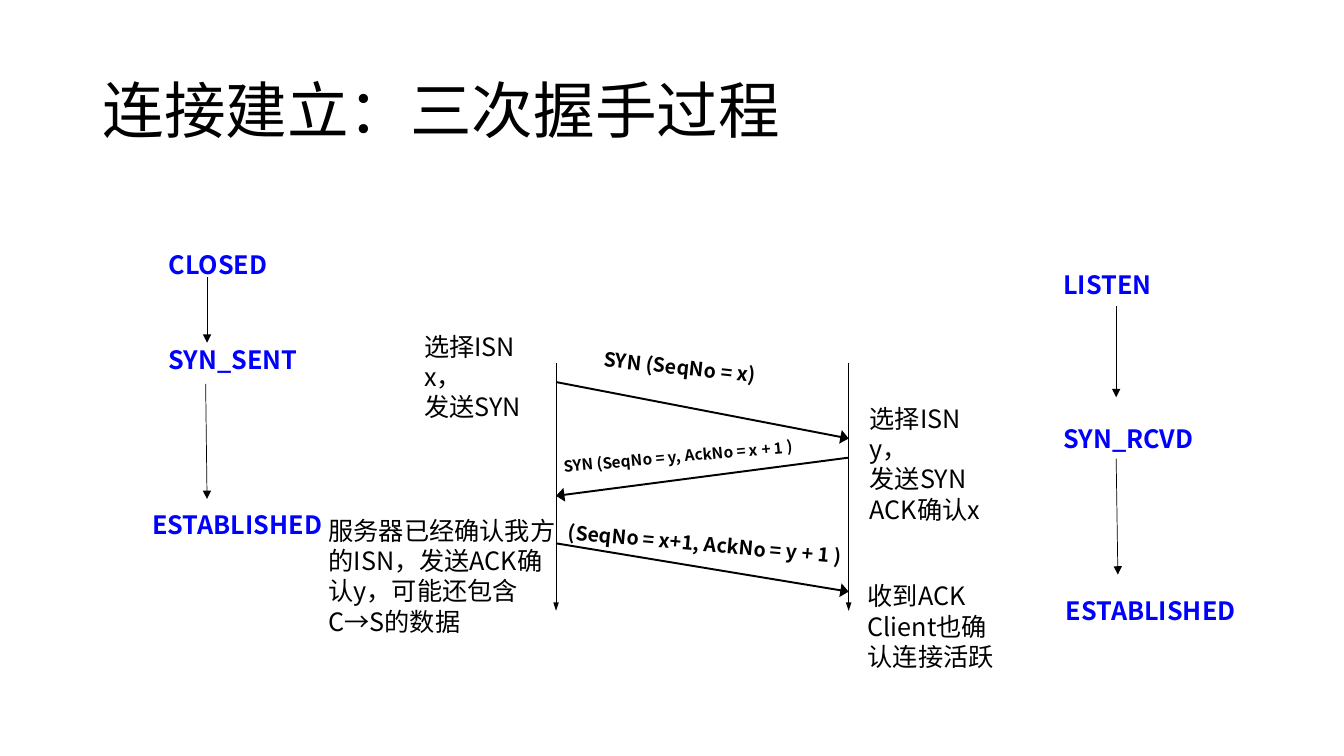
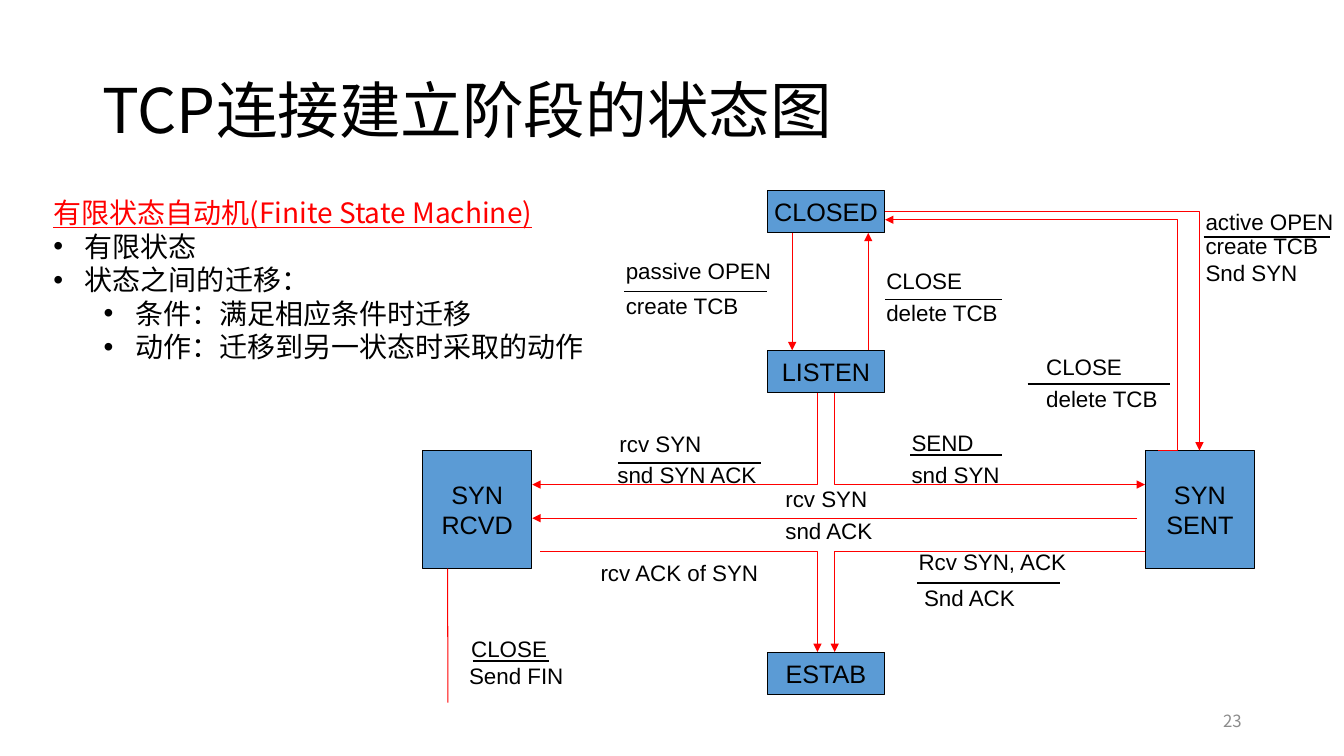
from lxml.etree import SubElement
from pptx import Presentation
from pptx.dml.color import RGBColor
from pptx.enum.shapes import MSO_CONNECTOR, MSO_SHAPE
from pptx.enum.text import MSO_ANCHOR, PP_ALIGN
from pptx.oxml.ns import qn
from pptx.util import Pt

CJK, LATIN = "Noto Sans CJK SC", "Arial"
BLACK, BLUE, RED, GREY, FILL = "000000", "0000FF", "FF0000", "8C8C8C", "5B9BD5"
SLIDE_WIDTH, SLIDE_HEIGHT = 960, 540
LABEL_WIDTH = 135

HOST_STATES = [
    ("CLOSED", 113.4, 174.6),
    ("SYN_SENT", 113.4, 242.3),
    ("ESTABLISHED", 101.7, 360.4),
    ("LISTEN", 752.4, 188.6),
    ("SYN_RCVD", 752.4, 298.8),
    ("ESTABLISHED", 754.2, 421.9),
]
STATE_ARROWS = [
    [(147.9, 198), (147.9, 244.8)],
    [(146.9, 274.3), (147.9, 356.4)],
    [(797.3, 218.9), (797.3, 283.7)],
    [(797.3, 327.6), (798.5, 410.4)],
]
CLIENT_X, SERVER_X = 397.2, 606.2
LIFELINE_TOP, LIFELINE_BOTTOM = 259.2, 436.3
MESSAGES = [
    (CLIENT_X, 272.9, SERVER_X, 313.2),
    (SERVER_X, 326.9, CLIENT_X, 354.2),
    (CLIENT_X, 388.1, SERVER_X, 422.6),
]
MESSAGE_LABELS = [
    ("SYN (SeqNo = x)", 14, 6, (430.6, 254, 115.2, 24.5)),
    ("SYN (SeqNo = y, AckNo = x + 1 )", 11, 355, (402.5, 318.2, 190.8, 19.4)),
    ("(SeqNo = x+1, AckNo = y + 1 )", 14, 5, (405.4, 381.6, 227.5, 24.5)),
]
NOTES = [
    (["选择ISN x，", "发送SYN"], (295.9, 233.1, 103.7, 51.1)),
    (["选择ISN y，", "发送SYN ACK确认x"], (614.2, 284.4, 103.7, 72.7)),
    (["服务器已经确认我方的ISN，发送ACK确认y，可能还包含C→S的数据"], (227.5, 364.5, 179.3, 94.3)),
    (["收到ACK", "Client也确认连接活跃"], (612.7, 411.3, 110.9, 72.7)),
]

MACHINE_TITLE = "有限状态自动机(Finite State Machine)"
MACHINE_POINTS = [
    ("有限状态", 0),
    ("状态之间的迁移：", 0),
    ("条件：满足相应条件时迁移", 1),
    ("动作：迁移到另一状态时采取的动作", 1),
]
FLAT, SQUARE = (84.2, 30.2), (78, 84.2)
MACHINE_STATES = [
    (["CLOSED"], (547.9, 136.1), FLAT),
    (["LISTEN"], (547.9, 250.2), FLAT),
    (["ESTAB"], (547.9, 465.8), FLAT),
    (["SYN", "RCVD"], (301.9, 321.8), SQUARE),
    (["SYN", "SENT"], (818.1, 321.8), SQUARE),
]
STRAIGHT_TRANSITIONS = [
    [(565.9, 166.3), (565.9, 250.2)],
    [(620.2, 250.2), (620.2, 166.3)],
    [(812.2, 370.1), (380.2, 370.1)],
]
BENT_TRANSITIONS = [
    [(632.2, 151.2), (856.8, 151.2), (856.8, 321.8)],
    [(827.3, 321.8), (840.8, 321.8), (840.8, 157), (632.2, 157)],
    [(583.9, 280.4), (583.9, 346.1), (380.2, 346.1)],
    [(596.2, 280.4), (596.2, 346.1), (817.9, 346.1)],
    [(385.9, 393.8), (583.9, 393.8), (583.9, 465.8)],
    [(817.9, 393.8), (596.2, 393.8), (596.2, 465.8)],
]
CLOSING_LINE = [(319.7, 406.1), (320, 501.8)]
TRANSITION_LABELS = [
    (["active OPEN"], 854, 145.1),
    (["create TCB", "Snd SYN"], 854, 162),
    (["passive OPEN"], 439.9, 180),
    (["create TCB"], 439.9, 205.2),
    (["CLOSE"], 626, 187.2),
    (["delete TCB"], 626, 210.2),
    (["CLOSE"], 740.2, 248.4),
    (["delete TCB"], 740.2, 271.4),
    (["SEND"], 644, 302.8),
    (["snd SYN"], 644, 325.8),
    (["rcv SYN"], 435.4, 303.8),
    (["snd SYN ACK"], 433.9, 325.8),
    (["rcv SYN"], 553.9, 342.7),
    (["snd ACK"], 553.9, 365.8),
    (["rcv ACK of SYN"], 421.9, 396),
    (["Rcv SYN, ACK"], 649, 388.1),
    (["Snd ACK"], 653, 414),
    (["CLOSE"], 329.5, 450),
    (["Send FIN"], 328, 469.4),
]
LABEL_RULES = [
    (445.9, 548.2, 208.3),
    (632.4, 716, 214),
    (734, 836.1, 274.5),
    (859.7, 949.9, 169.2),
    (441.4, 543.6, 330.5),
    (650.2, 716, 325),
    (655.2, 757, 416.2),
    (337.7, 392, 472.3),
]


def color(value):
    return RGBColor.from_string(value)


def add_span(para, text, size, face=CJK, ink=BLACK, bold=False, underline=False):
    span = para.add_run()
    span.text = text
    font = span.font
    font.size, font.bold, font.underline = Pt(size), bold, underline
    font.color.rgb = color(ink)
    font.name = face
    SubElement(font._element, qn("a:ea")).set("typeface", face)


def write_lines(frame, lines, size, align=PP_ALIGN.LEFT, **style):
    for index, line in enumerate(lines):
        para = frame.add_paragraph() if index else frame.paragraphs[0]
        para.alignment = align
        add_span(para, line, size, **style)


def set_insets(frame, left, top, right, bottom):
    frame.margin_left, frame.margin_top = Pt(left), Pt(top)
    frame.margin_right, frame.margin_bottom = Pt(right), Pt(bottom)


def add_text(page, area, lines, size, anchor=MSO_ANCHOR.TOP, **style):
    box = page.shapes.add_textbox(*map(Pt, area))
    frame = box.text_frame
    frame.word_wrap = True
    frame.vertical_anchor = anchor
    write_lines(frame, lines, size, **style)
    return box


def add_label(page, lines, left, top, size, **style):
    width = min(LABEL_WIDTH, SLIDE_WIDTH - left)
    box = add_text(page, (left, top, width, 26.6 * len(lines)), lines, size, **style)
    set_insets(box.text_frame, 7.2, 3.6, 0, 3.6)


def style_line(line, ink, weight, head_width=None):
    line.color.rgb = color(ink)
    line.width = Pt(weight)
    if head_width:
        tail = SubElement(line._get_or_add_ln(), qn("a:tailEnd"))
        for key, value in (("type", "triangle"), ("w", head_width), ("len", "med")):
            tail.set(key, value)


def add_line(page, start, end, ink, weight, head_width=None):
    line = page.shapes.add_connector(MSO_CONNECTOR.STRAIGHT, *map(Pt, (*start, *end)))
    style_line(line.line, ink, weight, head_width)
    SubElement(line._element.spPr, qn("a:effectLst"))


def add_bent_arrow(page, points, ink, weight):
    start, *corners = [(Pt(x), Pt(y)) for x, y in points]
    builder = page.shapes.build_freeform(*start, scale=1.0)
    builder.add_line_segments(corners, close=False)
    arrow = builder.convert_to_shape()
    arrow.shadow.inherit = False
    arrow.fill.background()
    style_line(arrow.line, ink, weight, "med")


def add_state(page, lines, corner, size):
    box = page.shapes.add_shape(MSO_SHAPE.RECTANGLE, *map(Pt, (*corner, *size)))
    box.shadow.inherit = False
    box.fill.solid()
    box.fill.fore_color.rgb = color(FILL)
    style_line(box.line, BLACK, 0.75)
    frame = box.text_frame
    frame.vertical_anchor = MSO_ANCHOR.MIDDLE
    set_insets(frame, 0, 0, 0, 0)
    write_lines(frame, lines, 18, PP_ALIGN.CENTER, face=LATIN)


def add_bullet(frame, text, level):
    para = frame.add_paragraph()
    para.level = level
    properties = para._p.get_or_add_pPr()
    properties.set("marL", str(Pt(22.5 + 36 * level)))
    properties.set("indent", str(Pt(-22.5)))
    SubElement(properties, qn("a:buFont")).set("typeface", LATIN)
    SubElement(properties, qn("a:buChar")).set("char", "•")
    add_span(para, text, 20)


def add_page(deck, title):
    page = deck.slides.add_slide(deck.slide_layouts[6])
    box = add_text(page, (66.1, 28.8, 828, 104.4), [title], 44, MSO_ANCHOR.MIDDLE)
    box.text_frame.paragraphs[0].line_spacing = 0.9
    return page


def build_handshake(deck):
    page = add_page(deck, "连接建立：三次握手过程")
    for text, left, top in HOST_STATES:
        add_label(page, [text], left, top, 18, ink=BLUE, bold=True)
    for x in (CLIENT_X, SERVER_X):
        add_line(page, (x, LIFELINE_TOP), (x, LIFELINE_BOTTOM), BLACK, 0.5, "sm")
    for x1, y1, x2, y2 in MESSAGES:
        add_line(page, (x1, y1), (x2, y2), BLACK, 1.38, "lg")
    for text, size, angle, area in MESSAGE_LABELS:
        box = add_text(page, area, [text], size, bold=True)
        set_insets(box.text_frame, 0, 0, 0, 0)
        box.rotation = angle
    for lines, area in NOTES:
        add_text(page, area, lines, 18)
    for start, end in STATE_ARROWS:
        add_line(page, start, end, BLACK, 0.5, "med")


def build_state_machine(deck):
    page = add_page(deck, "TCP连接建立阶段的状态图")
    add_text(page, (678, 500.4, 216, 28.8), ["23"], 12, MSO_ANCHOR.MIDDLE,
             align=PP_ALIGN.RIGHT, ink=GREY)
    for lines, corner, size in MACHINE_STATES:
        add_state(page, lines, corner, size)
    for start, end in STRAIGHT_TRANSITIONS:
        add_line(page, start, end, RED, 0.75, "med")
    for points in BENT_TRANSITIONS:
        add_bent_arrow(page, points, RED, 0.75)
    add_line(page, *CLOSING_LINE, RED, 0.75)
    for lines, left, top in TRANSITION_LABELS:
        add_label(page, lines, left, top, 16, face=LATIN)
    for left, right, y in LABEL_RULES:
        add_line(page, (left, y), (right, y), BLACK, 1.25)
    box = add_text(page, (31, 136.1, 432, 128.2), [MACHINE_TITLE], 20, ink=RED, underline=True)
    for text, level in MACHINE_POINTS:
        add_bullet(box.text_frame, text, level)


def main():
    deck = Presentation()
    deck.slide_width, deck.slide_height = Pt(SLIDE_WIDTH), Pt(SLIDE_HEIGHT)
    build_handshake(deck)
    build_state_machine(deck)
    deck.save("out.pptx")


if __name__ == "__main__":
    main()
